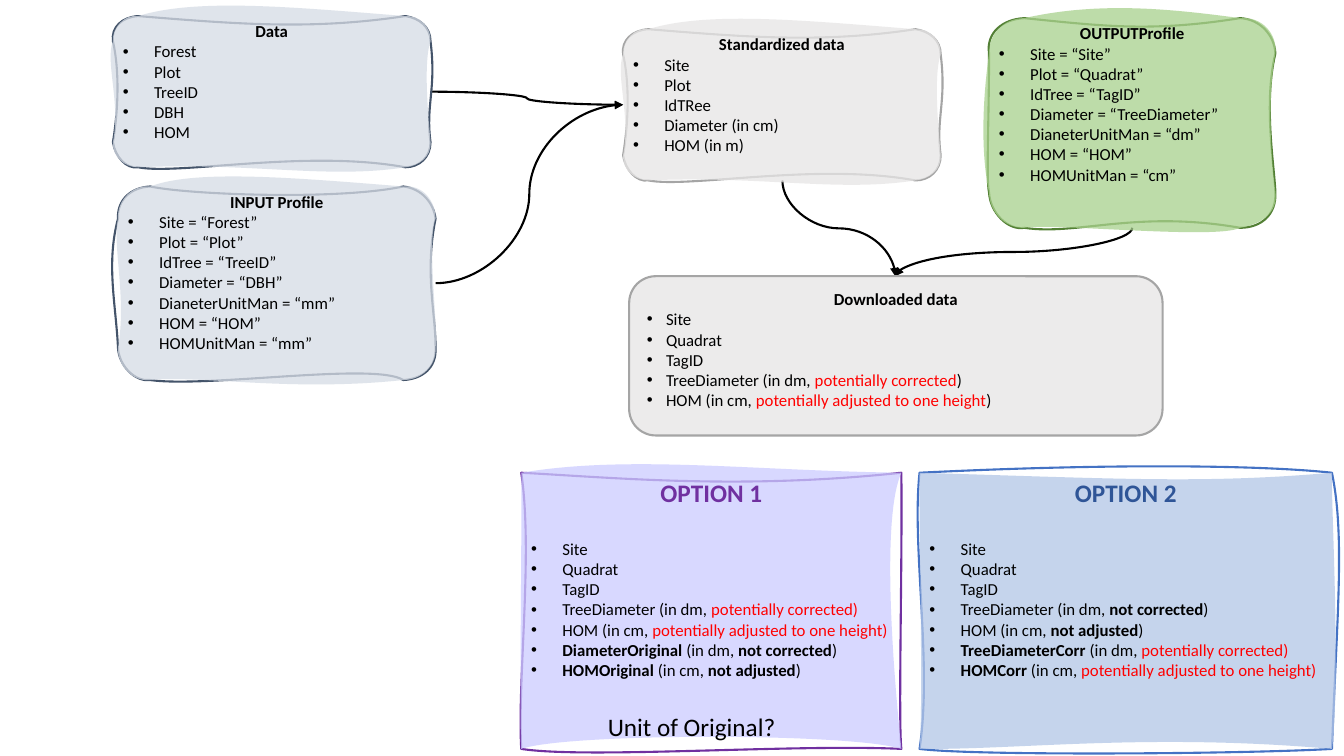
from lxml import etree
from pptx import Presentation
from pptx.dml.color import RGBColor
from pptx.enum import shapes, text
from pptx.oxml.ns import qn
from pptx.util import Inches, Pt

BLACK, RED = "000000", "FF0000"
FONT = "Calibri"


def bold(words):
    return words, {"bold": True}, BLACK


def red(words):
    return words, {}, RED


# Content: each line is a string or a list of runs
CORRECTED, ADJUSTED = "potentially corrected", "potentially adjusted to one height"
DOWNLOADED = ["Site", "Quadrat", "TagID"]
DM, CM = "(in dm, ", "(in cm, "


def profile(site, plot, tree, diameter, unit):
    pairs = [("Site", site), ("Plot", plot), ("IdTree", tree), ("Diameter", diameter),
             ("DianeterUnitMan", unit[0]), ("HOM", "HOM"), ("HOMUnitMan", unit[1])]
    return [f"{key} = “{value}”" for key, value in pairs]


# Hand-drawn edges: Bezier handles in 1/100 inch, clockwise from the top left
SMALL = dict(
    radius=25,
    outline=[(-2, 11, 9, 1), (124, 8, 197, 14), (304, 2, 315, 11), (321, 73, 310, 88),
             (315, 140, 304, 150), (192, 132, 65, 158), (13, 152, 2, 139), (5, 95, 7, 56)],
    wash=[(-1, 11, 12, -2), (83, -18, 177, -9), (304, -1, 316, 11), (307, 47, 314, 112),
          (316, 140, 303, 149), (213, 162, 137, 145), (11, 150, -1, 139), (8, 87, -8, 45)])
INPUT = dict(
    radius=32,
    outline=[(-1, 14, 12, 1), (69, 8, 217, 14), (301, 2, 313, 16), (304, 86, 315, 124),
             (316, 180, 302, 191), (255, 174, 88, 200), (17, 194, 1, 178), (-2, 117, -12, 77)],
    wash=[(-1, 12, 16, -2), (76, -17, 172, -9), (303, -2, 315, 15), (306, 55, 318, 143),
          (316, 178, 301, 192), (171, 204, 81, 187), (13, 194, -1, 176), (9, 111, -6, 56)])
OUTPUT = dict(
    radius=35,
    outline=[(-3, 15, 13, 1), (114, 8, 161, 14), (269, 1, 283, 17), (272, 85, 283, 146),
             (285, 195, 270, 208), (146, 190, 87, 216), (19, 211, 1, 193), (-3, 159, 0, 103)],
    wash=[(0, 14, 16, 0), (110, -17, 182, -9), (271, -2, 286, 16), (277, 73, 278, 125),
          (287, 194, 268, 205), (226, 220, 62, 203), (15, 209, 0, 191), (-8, 135, -7, 85)])
OPTION_1 = dict(
    radius=0,
    outline=[(94, 5, 218, 17), (378, 95, 374, 245), (272, 269, 64, 284), (-4, 205, 12, 80)],
    wash=[(107, -18, 228, -2), (359, 40, 366, 168), (328, 258, 46, 258), (-2, 231, 1, 29)])
OPTION_2 = dict(
    radius=0,
    outline=[(180, -9, 335, -8), (422, 63, 414, 141), (324, 279, 54, 281), (13, 190, -8, 74)],
    wash=[(199, 6, 281, 11), (408, 28, 418, 202), (226, 258, 100, 275), (4, 233, -1, 37)])

# Heading, (left, top, width, height), sketch, fill, line, heading format, lines
SMALL_HEAD = dict(size=12, color=BLACK, gap=0)
BOXES = [
    ("Data", (1.12, 0.16, 3.15, 1.5), SMALL, "D6DCE5", "44546A", SMALL_HEAD,
     ["Forest", "Plot", "TreeID", "DBH", "HOM"]),
    ("Standardized data", (6.18, 0.29, 3.15, 1.5), SMALL, "E7E6E6", "A5A5A5", SMALL_HEAD,
     ["Site", "Plot", "IdTRee", "Diameter (in cm)", "HOM (in m)"]),
    ("INPUT Profile", (1.17, 1.85, 3.15, 1.92), INPUT, "D6DCE5", "44546A", SMALL_HEAD,
     profile("Forest", "Plot", "TreeID", "DBH", ("mm", "mm"))),
    ("OUTPUTProfile", (9.81, 0.18, 2.84, 2.08), OUTPUT, "A9D18E", "538035", SMALL_HEAD,
     profile("Site", "Quadrat", "TagID", "TreeDiameter", ("dm", "cm"))),
    ("Downloaded data", (6.24, 2.74, 5.29, 1.58), None, "E7E6E6", "A5A5A5", SMALL_HEAD,
     DOWNLOADED + [["TreeDiameter " + DM, red(CORRECTED), ")"],
                   ["HOM " + CM, red(ADJUSTED), ")"]]),
    ("OPTION 1", (5.17, 4.69, 3.77, 2.74), OPTION_1, "CCCCFF", "7030A0",
     dict(size=18, color="7030A0", gap=22),
     DOWNLOADED + [["TreeDiameter " + DM, red(CORRECTED + ")")],
                   ["HOM " + CM, red(ADJUSTED + ")")],
                   [bold("DiameterOriginal "), DM, bold("not corrected"), ")"],
                   [bold("HOMOriginal"), " " + CM, bold("not adjusted"), ")"]]),
    ("OPTION 2", (9.12, 4.69, 4.09, 2.74), OPTION_2, "B4C7E7", "4472C4",
     dict(size=18, color="2F5597", gap=22),
     DOWNLOADED + [["TreeDiameter " + DM, bold("not corrected"), ")"],
                   ["HOM " + CM, bold("not adjusted"), ")"],
                   [bold("TreeDiameterCorr"), " " + DM, red(CORRECTED + ")")],
                   [bold("HOMCorr"), " " + CM, red(ADJUSTED + ")")]]),
]
# From, to, leaves downwards
ARROWS = [((4.32, 2.81), (6.18, 1.04), False), ((4.27, 0.91), (6.18, 1.04), False),
          ((11.23, 2.26), (8.88, 2.74), True), ((7.76, 1.79), (8.88, 2.74), True)]
QUESTION = ("Unit of Original?", (5.93, 7.01, 2.26, 0.4))

deck = Presentation()
deck.slide_width, deck.slide_height = Inches(13.33), Inches(7.5)
slide = deck.slides.add_slide(deck.slide_layouts[6])


def rgb(code):
    return RGBColor.from_string(code)


def sub(parent, tag, **attributes):
    child = etree.SubElement(parent, qn(tag))
    for key, value in attributes.items():
        child.set(key, str(value))
    return child


def add_run(paragraph, words, size, color=BLACK, **styles):
    run = paragraph.add_run()
    run.text = words
    for key, value in dict(name=FONT, size=Pt(size), bold=False, **{}).items() | styles.items():
        if key not in styles or value == styles[key]:
            setattr(run.font, key, value)
    run.font.color.rgb = rgb(color)


def draw_path(path_list, size, radius, handles, **paint):
    w, h = size
    r = radius
    anchors = [(0, r), (r, 0), (w - r, 0), (w, r), (w, h - r), (w - r, h), (r, h), (0, h - r)]
    anchors = anchors if r else [(0, 0), (w, 0), (w, h), (0, h)]
    path = sub(path_list, "a:path", w=w, h=h, **paint)
    sub(sub(path, "a:moveTo"), "a:pt", x=anchors[0][0], y=anchors[0][1])
    for (x1, y1, x2, y2), end in zip(handles, anchors[1:] + anchors[:1]):
        curve = sub(path, "a:cubicBezTo")
        for x, y in ((x1, y1), (x2, y2), end):
            sub(curve, "a:pt", x=x, y=y)
    sub(path, "a:close")


def add_sketch(place, sketch):
    left, top, width, height = map(Inches, place)
    builder = slide.shapes.build_freeform(left, top)
    builder.add_line_segments([(left + width, top), (left + width, top + height),
                               (left, top + height)])
    box = builder.convert_to_shape()
    path_list = box._element.spPr.find(".//" + qn("a:pathLst"))
    for path in list(path_list):
        path_list.remove(path)
    size = round(place[2] * 100), round(place[3] * 100)
    draw_path(path_list, size, sketch["radius"], sketch["outline"], fill="none")
    draw_path(path_list, size, sketch["radius"], sketch["wash"], stroke=0)
    return box


def add_box(heading, place, sketch, fill, line, head, lines):
    if sketch:
        box, indent = add_sketch(place, sketch), Inches(0.31)
    else:
        rounded = shapes.MSO_SHAPE.ROUNDED_RECTANGLE
        box, indent = slide.shapes.add_shape(rounded, *map(Inches, place)), Inches(0.19)
    box.shadow.inherit = False
    box.fill.solid()
    box.fill.fore_color.rgb = rgb(fill)
    sub(box._element.spPr.find(".//" + qn("a:srgbClr")), "a:alpha", val=76000)
    box.line.color.rgb = rgb(line)
    box.line.width = Pt(1.5)
    frame = box.text_frame
    frame.word_wrap, frame.vertical_anchor = True, text.MSO_ANCHOR.TOP
    title = frame.paragraphs[0]
    title.alignment, title.space_after = text.PP_ALIGN.CENTER, Pt(head["gap"])
    add_run(title, heading, head["size"], head["color"], bold=True)
    for content in lines:
        item = frame.add_paragraph()
        item.alignment = text.PP_ALIGN.LEFT
        properties = item._p.get_or_add_pPr()
        properties.set("marL", str(indent))
        properties.set("indent", str(-indent))
        sub(properties, "a:buFont", typeface="Arial")
        sub(properties, "a:buChar", char="•")
        for part in [content] if isinstance(content, str) else content:
            words, styles, color = (part, {}, BLACK) if isinstance(part, str) else part
            add_run(item, words, 12, color, **styles)


def add_arrow(start, end, downwards):
    (x1, y1), (x2, y2) = start, end
    if downwards:  # lay the curve on its side, then turn it a quarter
        cx, cy, dx, dy = (x1 + x2) / 2, (y1 + y2) / 2, (x2 - x1) / 2, (y2 - y1) / 2
        x1, y1, x2, y2 = cx - dy, cy + dx, cx + dy, cy - dx
    arrow = slide.shapes.add_connector(shapes.MSO_CONNECTOR.CURVE, *map(Inches, (x1, y1, x2, y2)))
    properties = arrow._element.spPr
    if downwards:
        properties.find(qn("a:xfrm")).set("rot", str(90 * 60000))
    arrow.line.color.rgb = rgb(BLACK)
    arrow.line.width = Pt(1.5)
    sub(properties.find(qn("a:ln")), "a:tailEnd", type="triangle")
    sub(properties, "a:effectLst")


# Arrows lie behind the boxes they join
for arrow_ends in ARROWS:
    add_arrow(*arrow_ends)
for box_parts in BOXES:
    add_box(*box_parts)

# Open question over option 1
words, place = QUESTION
question = slide.shapes.add_textbox(*map(Inches, place)).text_frame
question.word_wrap = True
add_run(question.paragraphs[0], words, 18)

deck.save("out.pptx")
